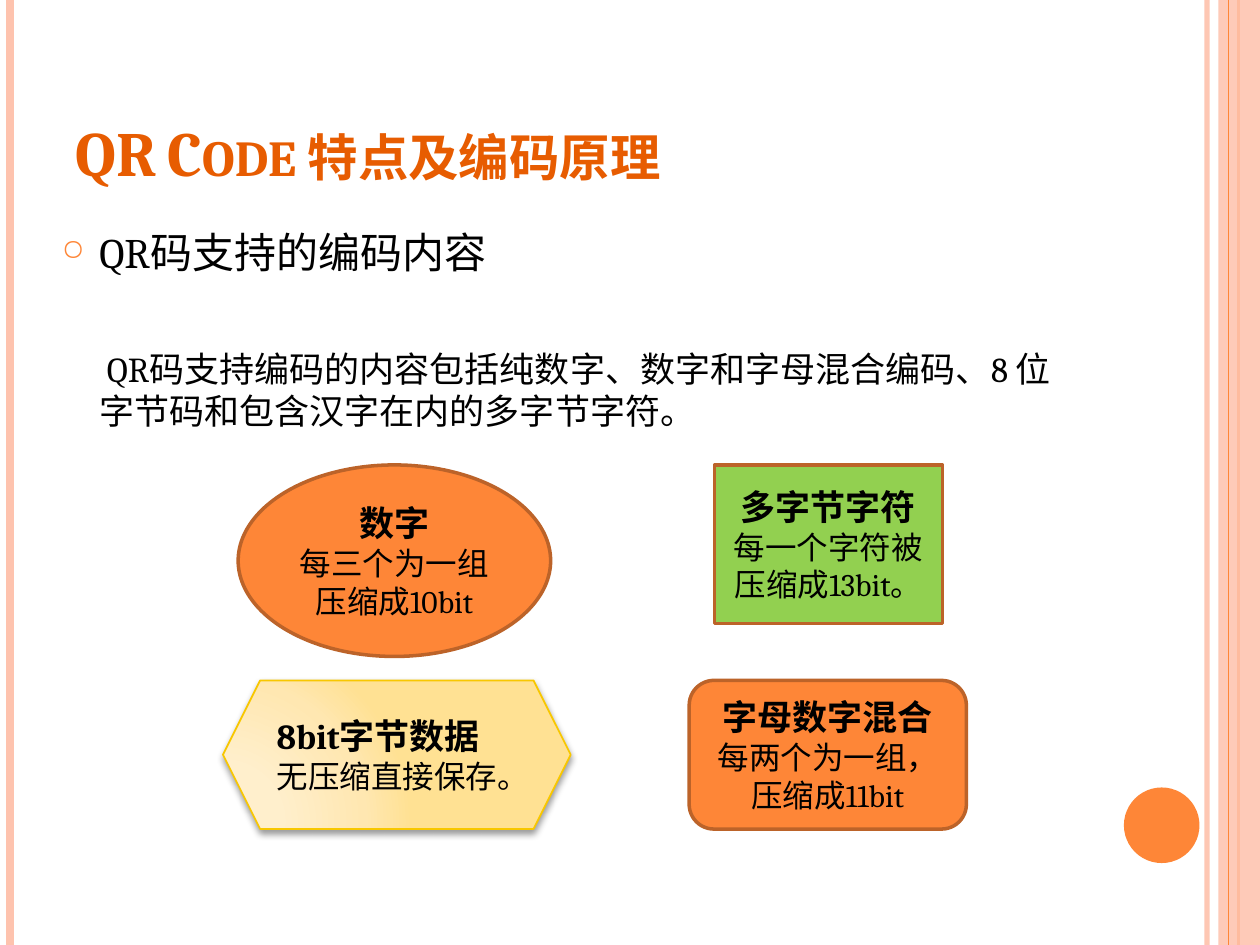
from lxml import etree
from pptx import Presentation
from pptx.dml import color
from pptx.enum import shapes, text
from pptx.oxml.ns import qn
from pptx.util import Inches, Pt

FONT = "Cambria"
BLACK, ORANGE, PINK, RUST = "000000", "FE8637", "FEC3AE", "BC6329"
TITLE = "QR Code 特点及编码原理"
HEADING = "QR码支持的编码内容"
SUMMARY = "QR码支持编码的内容包括纯数字、数字和字母混合编码、8 位字节码和包含汉字在内的多字节字符。"

# x, colour, width in points, opacity in percent
RULES_BELOW = [(9.58, PINK, 3, 93), (0.08, PINK, 4.5, 100), (9.83, ORANGE, 1.5, 100)]
RULE_ABOVE = (9.75, ORANGE, 0.75, 100)

TOP_ROW, BOTTOM_ROW = 3.69, 5.4
LEFT, CENTER = text.PP_ALIGN.LEFT, text.PP_ALIGN.CENTER
KIND = shapes.MSO_SHAPE
# preset, box, fill, line, line width, alignment, lines (the first is the heading)
MODES = [
    (KIND.OVAL, (1.89, TOP_ROW, 2.48, 1.52), ORANGE, RUST, 2, CENTER,
     ["数字", "每三个为一组", "压缩成10bit"]),
    (KIND.HEXAGON, (1.77, BOTTOM_ROW, 2.76, 1.18), "FFE7B1", "F8C700", 1, LEFT,
     ["8bit字节数据", "无压缩直接保存。"]),
    (KIND.RECTANGLE, (5.67, TOP_ROW, 1.81, 1.26), "92D050", RUST, 2, CENTER,
     ["多字节字符", "每一个字符被压缩成13bit。"]),
    (KIND.ROUNDED_RECTANGLE, (5.47, BOTTOM_ROW, 2.2, 1.18), ORANGE, RUST, 2, CENTER,
     ["字母数字混合", "每两个为一组，压缩成11bit"]),
]
GLOW_STOPS = [(0, "FFF0D1"), (30, "FFEFCC"), (75, "FFE7B1"), (100, "FFE193")]
GLOW_CENTER = {"l": 5, "t": 100, "r": 120, "b": 10}


def rgb(value):
    return color.RGBColor.from_string(value)


def child(parent, tag, **attributes):
    element = etree.SubElement(parent, qn(tag))
    for name, value in attributes.items():
        element.set(name, str(value))
    return element


def paint(fill, value, opacity=100):
    fill.solid()
    fill.fore_color.rgb = rgb(value)
    if opacity < 100:
        child(fill._xPr.find(".//" + qn("a:srgbClr")), "a:alpha", val=opacity * 1000)


def add_rule(slide, x, value, width, opacity):
    rule = slide.shapes.add_connector(
        shapes.MSO_CONNECTOR.STRAIGHT, Inches(x), 0, Inches(x), Inches(7.5))
    rule.line.width = Pt(width)
    paint(rule.line.fill, value, opacity)
    child(rule._element.spPr, "a:effectLst")


def add_figure(slide, preset, box, fill, opacity=100):
    figure = slide.shapes.add_shape(preset, *map(Inches, box))
    figure.shadow.inherit = False
    paint(figure.fill, fill, opacity)
    figure.line.fill.background()
    return figure


def add_text_box(slide, box):
    frame = slide.shapes.add_textbox(*map(Inches, box)).text_frame
    frame.word_wrap = True
    return frame


def style(paragraph, size, value=BLACK, bold=False):
    font = paragraph.font
    font.name, font.size, font.bold = FONT, Pt(size), bold
    font.color.rgb = rgb(value)


def write_lines(frame, lines, alignment):
    frame.word_wrap = True
    frame.vertical_anchor = text.MSO_ANCHOR.MIDDLE
    for i, line in enumerate(lines):
        paragraph = frame.paragraphs[0] if i == 0 else frame.add_paragraph()
        paragraph.text = line
        paragraph.alignment = alignment
        style(paragraph, 20 if i == 0 else 18, bold=i == 0)


def add_glow(figure):
    """Give the figure a circular gradient and a soft shadow below."""
    figure.fill.gradient()
    properties = figure._element.spPr
    gradient = properties.find(qn("a:gradFill"))
    gradient.clear()
    stops = child(gradient, "a:gsLst")
    for position, value in GLOW_STOPS:
        child(child(stops, "a:gs", pos=position * 1000), "a:srgbClr", val=value)
    circle = child(gradient, "a:path", path="circle")
    child(circle, "a:fillToRect", **{k: v * 1000 for k, v in GLOW_CENTER.items()})
    shadow = child(properties.find(qn("a:effectLst")), "a:outerShdw", blurRad=Pt(4),
                   dist=Pt(2), dir=90 * 60000, rotWithShape=0)
    child(child(shadow, "a:srgbClr", val=BLACK), "a:alpha", val=40000)


def add_body(slide):
    frame = add_text_box(slide, (0.39, 1.75, 8.17, 5.33))
    heading, summary = frame.paragraphs[0], frame.add_paragraph()
    for paragraph, words, size, indent in ((heading, HEADING, 24, -0.3),
                                           (summary, SUMMARY, 20, 0.06)):
        paragraph.text = words
        properties = paragraph._p.get_or_add_pPr()
        properties.set("marL", str(Inches(0.3)))
        properties.set("indent", str(Inches(indent)))
        if paragraph is heading:
            child(child(properties, "a:buClr"), "a:srgbClr", val=ORANGE)
            child(properties, "a:buSzPct", val=70000)
            child(properties, "a:buChar", char="○")
        style(paragraph, size)
    summary.space_before = Pt(40)


def add_title(slide):
    frame = add_text_box(slide, (0.5, 0.3, 8.17, 1.25))
    frame.vertical_anchor = text.MSO_ANCHOR.BOTTOM
    title = frame.paragraphs[0]
    title.text = TITLE
    style(title, 36, "E75C01", bold=True)
    title.runs[0]._r.get_or_add_rPr().set("cap", "small")


def main():
    deck = Presentation()
    deck.slide_width, deck.slide_height = Inches(10), Inches(7.5)
    slide = deck.slides.add_slide(deck.slide_layouts[6])

    for rule in RULES_BELOW:
        add_rule(slide, *rule)
    add_figure(slide, KIND.RECTANGLE, (9.67, 0, 0.33, 7.5), PINK, 87)
    add_rule(slide, *RULE_ABOVE)
    add_figure(slide, KIND.OVAL, (8.92, 6.25, 0.6, 0.6), ORANGE)

    add_body(slide)
    add_title(slide)
    for preset, box, fill, edge, width, alignment, lines in MODES:
        figure = add_figure(slide, preset, box, fill)
        paint(figure.line.fill, edge)
        figure.line.width = Pt(width)
        write_lines(figure.text_frame, lines, alignment)
        if preset == KIND.HEXAGON:
            add_glow(figure)
    deck.save("out.pptx")


if __name__ == "__main__":
    main()
